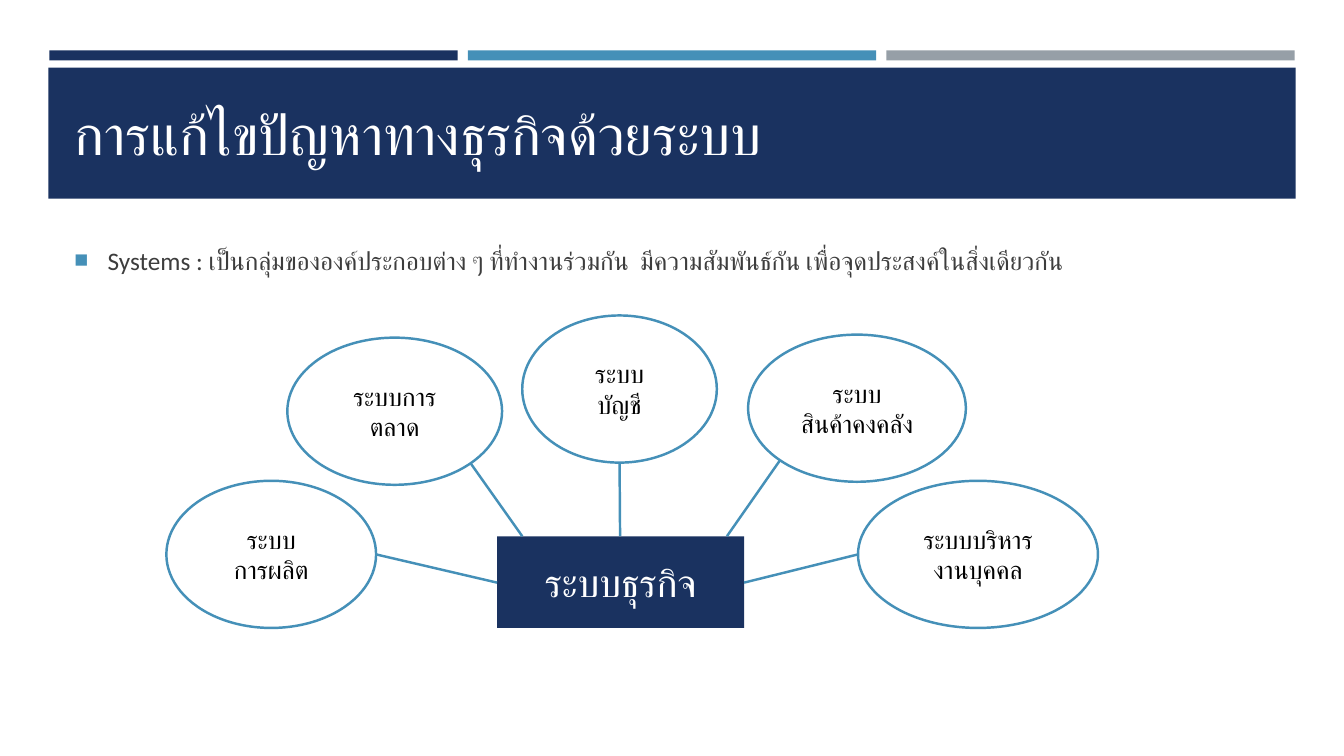
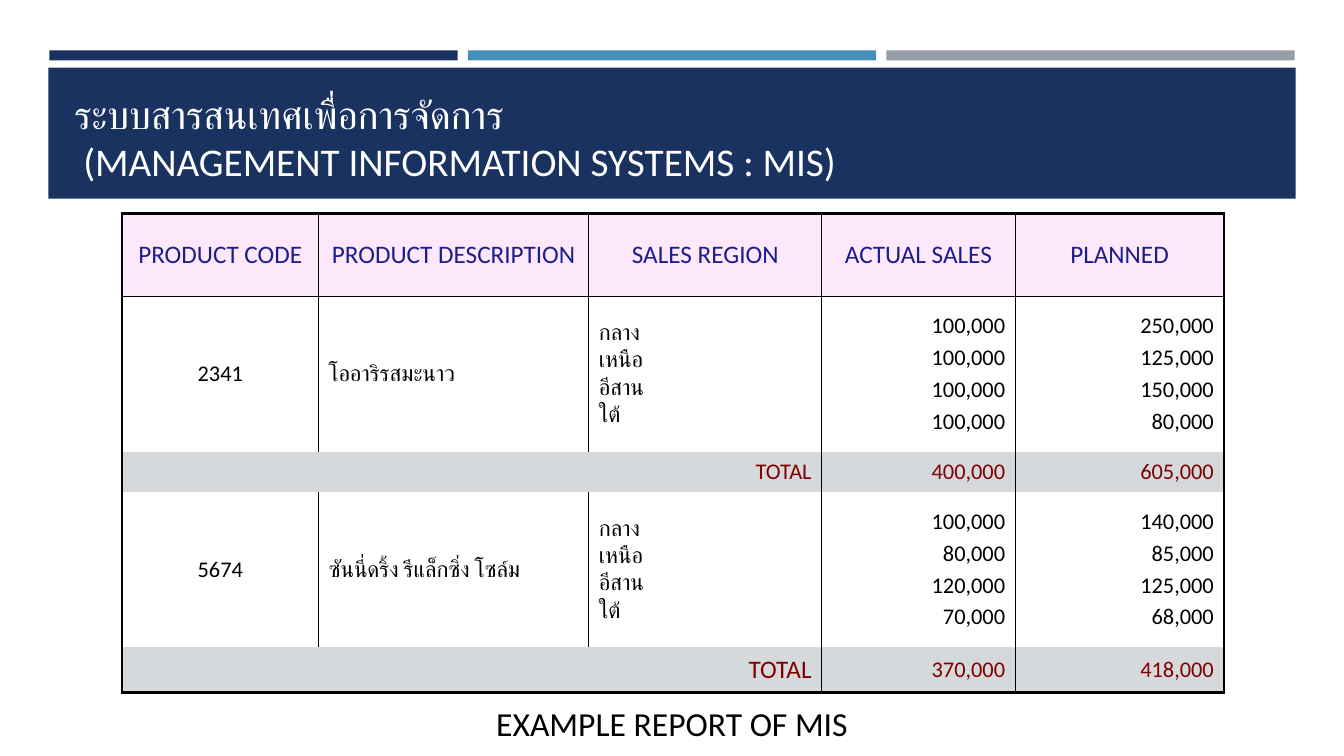
from math import cos, sin, radians
from lxml.etree import SubElement as Sub
from pptx import Presentation as Deck
from pptx.dml.color import RGBColor as RGB
from pptx.enum.shapes import MSO_CONNECTOR as Link, MSO_SHAPE as Kind
from pptx.enum.text import MSO_ANCHOR as Anchor, PP_ALIGN as Align
from pptx.oxml.ns import qn
from pptx.util import Inches, Pt

NAVY = RGB(0x1A, 0x32, 0x60)
BLUE = RGB(0x45, 0x90, 0xB8)
GREY = RGB(0x96, 0x9F, 0xA7)
PALE = RGB(0xD5, 0xD9, 0xDC)
PINK = RGB(0xFD, 0xE7, 0xFA)
INDIGO = RGB(0x1D, 0x1D, 0x8B)
MAROON = RGB(0x80, 0x00, 0x00)
DARK = RGB(0x3D, 0x3D, 0x3D)
BLACK = RGB(0, 0, 0)
WHITE = RGB(0xFF, 0xFF, 0xFF)
FONT = "Calibri"


def write(frame, text, size=18, color=BLACK, align=Align.LEFT, before=0, after=0):
    frame.word_wrap = True
    for i, line in enumerate(text.split("\n")):
        para = frame.paragraphs[0] if i == 0 else frame.add_paragraph()
        para.text = line
        para.alignment = align
        para.space_before, para.space_after = Pt(before), Pt(after)
        for run in para.runs:
            run.font.name, run.font.size = FONT, Pt(size)
            run.font.color.rgb = color
            Sub(run.font._element, qn("a:cs"), typeface=FONT)


def bullet(para):
    props = para._p.get_or_add_pPr()
    props.set("marL", str(Inches(0.33)))
    props.set("indent", str(-Inches(0.33)))
    tint = Sub(Sub(props, qn("a:buClr")), qn("a:srgbClr"))
    tint.set("val", str(BLUE))
    Sub(props, qn("a:buSzPct"), val="92000")
    Sub(props, qn("a:buFont"), typeface="Arial")
    Sub(props, qn("a:buChar"), char="■")


def edge(cell, side, width):
    line = Sub(cell._tc.get_or_add_tcPr(), qn("a:ln" + side), w=str(Pt(width)))
    if width:
        Sub(Sub(line, qn("a:solidFill")), qn("a:srgbClr"), val=str(BLACK))
    else:
        Sub(line, qn("a:noFill"))


class Pen:
    def __init__(self):
        self.deck = Deck()
        self.deck.slide_width = Inches(13.33)
        self.deck.slide_height = Inches(7.5)

    def start(self, title, size, anchor):
        self.slide = self.deck.slides.add_slide(self.deck.slide_layouts[6])
        for i, color in enumerate((NAVY, BLUE, GREY)):
            self.shape((0.49 + i * 4.15, 0.5, 4.05, 0.1), color)
        self.shape((0.48, 0.67, 12.37, 1.3), NAVY)
        self.label((0.64, 0.77, 12.06, 1.11), title, anchor, size=size, color=WHITE)

    def shape(self, box, fill, kind=Kind.RECTANGLE, line=None, text="", **style):
        item = self.slide.shapes.add_shape(kind, *map(Inches, box))
        item.shadow.inherit = False
        item.fill.solid()
        item.fill.fore_color.rgb = fill
        if line:
            item.line.color.rgb = line
            item.line.width = Pt(1.75)
        else:
            item.line.fill.background()
        if text:
            item.text_frame.vertical_anchor = Anchor.MIDDLE
            write(item.text_frame, text, align=Align.CENTER, **style)

    def label(self, box, text, anchor=Anchor.TOP, **style):
        frame = self.slide.shapes.add_textbox(*map(Inches, box)).text_frame
        frame.vertical_anchor = anchor
        write(frame, text, **style)
        return frame

    def line(self, *ends):
        item = self.slide.shapes.add_connector(Link.STRAIGHT, *map(Inches, ends))
        item.line.color.rgb = BLUE
        item.line.width = Pt(1.75)
        Sub(item._element.spPr, qn("a:effectLst"))

    def table(self, box, cols, rows):
        grid = self.slide.shapes.add_table(len(rows), len(cols), *map(Inches, box)).table
        grid.first_row = grid.horz_banding = False
        for col, width in zip(grid.columns, cols):
            col.width = Inches(width)
        for row, height in zip(grid.rows, rows):
            row.height = Inches(height)
        return grid

    def cell(self, grid, r, c, text, fill, **style):
        cell = grid.cell(r, c)
        low, last = len(grid.rows) - 1, len(grid.columns) - 1
        edge(cell, "L", 1 if c else 2.25)
        edge(cell, "R", 2.25 if c == last else 1)
        edge(cell, "T", {0: 2.25, 1: 1}.get(r, 0))
        edge(cell, "B", {0: 1, low: 2.25}.get(r, 0))
        cell.fill.solid()
        cell.fill.fore_color.rgb = fill
        cell.vertical_anchor = Anchor.MIDDLE
        write(cell.text_frame, text, **style)


def systems(pen):
    pen.start("การแก้ไขปัญหาทางธุรกิจด้วยระบบ", 40, Anchor.MIDDLE)
    body = pen.label((0.64, 2.38, 12.06, 4.02),
                     "Systems : เป็นกลุ่มขององค์ประกอบต่าง ๆ ที่ทำงานร่วมกัน  "
                     "มีความสัมพันธ์กัน เพื่อจุดประสงค์ในสิ่งเดียวกัน",
                     color=DARK, before=3.6, after=6)
    bullet(body.paragraphs[0])
    pen.shape((4.93, 5.32, 2.45, 0.91), NAVY, text="ระบบธุรกิจ", size=28, color=WHITE)
    parts = [
        ("ระบบ\nการผลิต", 1.65, 4.77, 2.08, 4.93, 5.78),
        ("ระบบการตลาด", 2.85, 3.35, 2.13, 5.18, 5.32),
        ("ระบบ\nบัญชี", 5.18, 3.13, 1.93, 6.15, 5.32),
        ("ระบบ\nสินค้าคงคลัง", 7.42, 3.32, 2.16, 7.21, 5.32),
        ("ระบบบริหาร\nงานบุคคล", 8.51, 4.77, 2.38, 7.38, 5.78),
    ]
    high = 1.46
    for i, (text, left, top, wide, x, y) in enumerate(parts):
        pen.shape((left, top, wide, high), WHITE, Kind.OVAL, BLUE, text)
        turn = radians(45 * i)
        pen.line(x, y, left + wide / 2 * (1 + cos(turn)), top + high / 2 * (1 + sin(turn)))


def report(pen):
    pen.start("ระบบสารสนเทศเพื่อการจัดการ\v (MANAGEMENT INFORMATION SYSTEMS : MIS)",
              28, Anchor.BOTTOM)
    pen.label((3.99, 6.64, 5.35, 0.78), "EXAMPLE REPORT OF MIS", Anchor.BOTTOM,
              size=24, align=Align.CENTER)
    grid = pen.table((1.21, 2.12, 10.92, 4.76), (1.95, 2.68, 2.31, 1.92, 2.07),
                     (0.82, 1.54, 0.4, 1.54, 0.45))
    heads = ("PRODUCT CODE", "PRODUCT DESCRIPTION", "SALES REGION", "ACTUAL SALES", "PLANNED")
    for c, text in enumerate(heads):
        pen.cell(grid, 0, c, text, PINK, color=INDIGO, align=Align.CENTER, before=3.6)
    zones = "กลาง\nเหนือ\nอีสาน\nใต้"
    goods = [
        ("2341", "โออาริรสมะนาว", (100, 100, 100, 100), (250, 125, 150, 80), 16),
        ("5674", "ซันนี่ดริ้ง รีแล็กซิ่ง โซล์ม", (100, 80, 120, 70), (140, 85, 125, 68), 18),
    ]
    for i, (code, name, sales, plan, size) in enumerate(goods):
        r = 1 + 2 * i
        pen.cell(grid, r, 0, code, WHITE, size=16, align=Align.CENTER, before=3.2)
        pen.cell(grid, r, 1, name, WHITE, size=16, before=3.2)
        pen.cell(grid, r, 2, zones, WHITE, size=16)
        grid.cell(r + 1, 0).merge(grid.cell(r + 1, 2))
        pen.cell(grid, r + 1, 0, "TOTAL", PALE, size=size, color=MAROON,
                 align=Align.RIGHT, before=3.2)
        for c, nums in enumerate((sales, plan), 3):
            text = "\n".join(f"{n},000" for n in nums)
            pen.cell(grid, r, c, text, WHITE, size=16, align=Align.RIGHT, before=3.2)
            pen.cell(grid, r + 1, c, f"{sum(nums)},000", PALE, size=16, color=MAROON,
                     align=Align.RIGHT, before=3.2)


def main():
    pen = Pen()
    systems(pen)
    report(pen)
    pen.deck.save("out.pptx")


if __name__ == "__main__":
    main()
